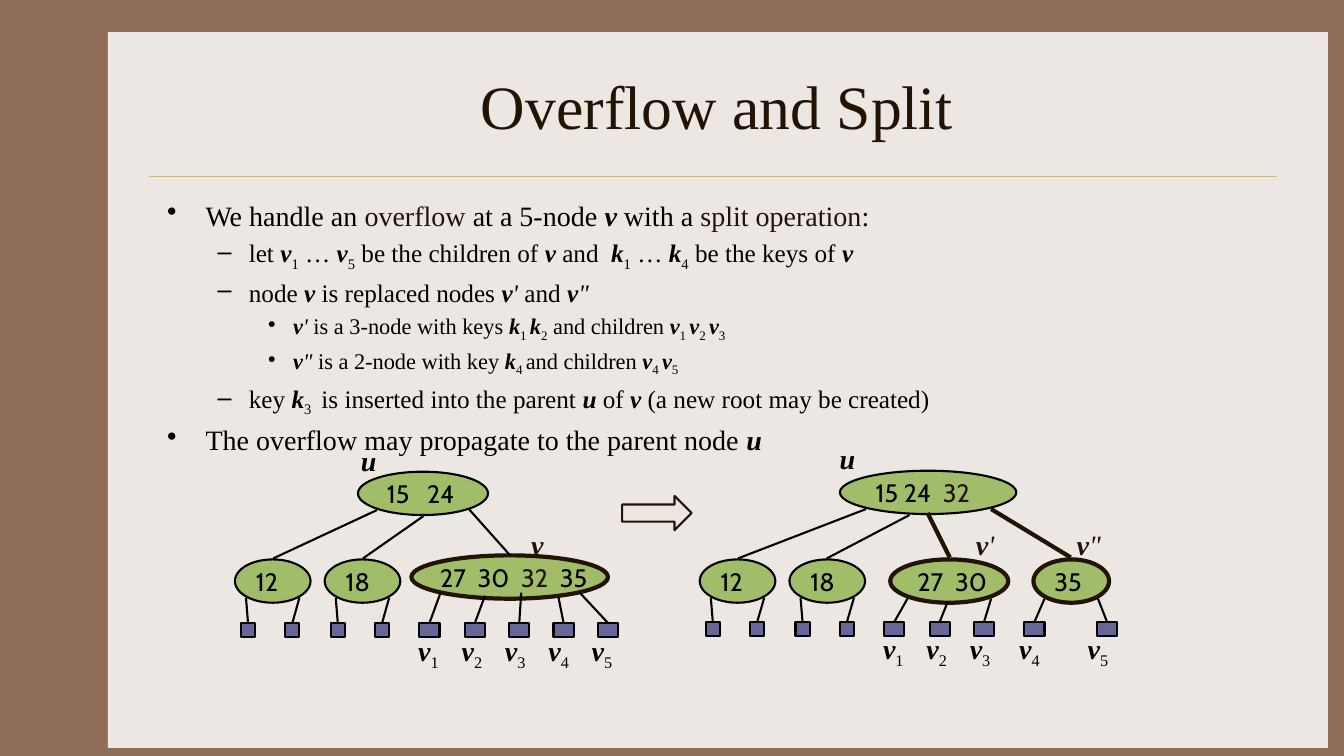
from lxml.etree import SubElement
from pptx import Presentation
from pptx.dml.color import RGBColor
from pptx.enum.shapes import MSO_CONNECTOR, MSO_SHAPE
from pptx.enum.text import MSO_ANCHOR, PP_ALIGN
from pptx.oxml.ns import qn
from pptx.util import Pt

PX = 9144
THEME = {
    "frame": RGBColor.from_string("906D58"),
    "panel": RGBColor.from_string("EDE7E3"),
    "rule": RGBColor.from_string("CBBD83"),
    "accent": RGBColor.from_string("221304"),
    "ink": RGBColor.from_string("000000"),
    "node": RGBColor.from_string("A1BD69"),
    "leaf": RGBColor.from_string("666699"),
    "serif": "Times New Roman",
    "sans": "Cabin",
    "title": 44,
    "levels": (20, 18, 16),
    "key": 18,
    "label": 20,
    "thin": 1.5,
    "thick": 3,
}
RUN_STYLES = {
    "*": {"bold": True, "italic": True},
    "/": {"italic": True},
    "~": {},
    "_": {"baseline": "-25000"},
    "+": {"spc": "430"},
    "#": {"spc": "860"},
}


def write(paragraph, text, size, name, color):
    for piece in text.split("|"):
        code = piece[0] if piece[0] in RUN_STYLES else ""
        run = paragraph.add_run()
        run.text = piece[len(code):]
        run.font.color.rgb = THEME["accent" if code == "~" else color]
        values = {"size": Pt(size), "name": THEME[name], **RUN_STYLES.get(code, {})}
        for key, value in values.items():
            if key in ("baseline", "spc"):
                run._r.get_or_add_rPr().set(key, value)
            else:
                setattr(run.font, key, value)


def draw(kind, box, fill, line, weight):
    shape = slide.shapes.add_shape(kind, *(value * PX for value in box))
    shape.shadow.inherit = False
    if fill:
        shape.fill.solid()
        shape.fill.fore_color.rgb = THEME[fill]
    else:
        shape.fill.background()
    if line:
        shape.line.color.rgb = THEME[line]
        shape.line.width = Pt(weight)
    else:
        shape.line.fill.background()
    return shape


presentation = Presentation()
presentation.slide_width = 1333 * PX
presentation.slide_height = 750 * PX
slide = presentation.slides.add_slide(presentation.slide_layouts[5])
slide.background.fill.solid()
slide.background.fill.fore_color.rgb = THEME["frame"]

panel = draw(MSO_SHAPE.RECTANGLE, (107, 32, 1210, 710), "panel", None, 0)
slide.shapes._spTree.insert(2, panel._element)

title = slide.shapes.title
for key, value in {"left": 156, "top": 42, "width": 1111, "height": 125}.items():
    setattr(title, key, value * PX)
title.text_frame.vertical_anchor = MSO_ANCHOR.MIDDLE
title_paragraph = title.text_frame.paragraphs[0]
title_paragraph.alignment = PP_ALIGN.CENTER
write(title_paragraph, "Overflow and Split", THEME["title"], "serif", "accent")

BULLETS = ((38, 38, "•"), (81, 31, "–"), (125, 25, "•"))
POINTS = [
    (0, "We handle an |~overflow| at a 5-node |*v| with a |~split operation|:"),
    (1, "let |*v|_1| … |*v|_5| be the children of |*v| and|+ |*k|_1| … |*k|_4| be the keys of |*v"),
    (1, "node |*v| is replaced nodes |*v|/' |and |*v|/\""),
    (2, "*v|/'| is a 3-node with keys |*k|_1 |*k|_2| and children |*v|_1 |*v|_2 |*v|_3"),
    (2, "*v|/\"| is a 2-node with key |*k|_4 |and children |*v|_4 |*v|_5"),
    (1, "key |*k|_3 | is inserted into the parent |*u| of |*v |(a new root may be created)"),
    (0, "The overflow may propagate to the parent node |*u"),
]
body = slide.shapes.add_textbox(156 * PX, 192 * PX, 1111 * PX, 450 * PX).text_frame
body.word_wrap = True
for index, (level, text) in enumerate(POINTS):
    paragraph = body.add_paragraph() if index else body.paragraphs[0]
    paragraph.level = level
    margin, hanging, bullet = BULLETS[level]
    properties = paragraph._p.get_or_add_pPr()
    properties.set("marL", str(margin * PX))
    properties.set("indent", str(-hanging * PX))
    SubElement(properties, qn("a:buChar"), char=bullet)
    size = THEME["levels"][level]
    paragraph.space_before = Pt(round(size * 0.2) if index else 0)
    write(paragraph, text, size, "serif", "ink")

NODES = [
    (355, 468, 129, "15|# |24", "ink"),
    (408, 551, 195, "27|+ |30|+ |~32|+ |35", "accent"),
    (833, 467, 175, "15 24|+ |~32", "ink"),
    (883, 555, 117, "27|+ |30", "accent"),
    (1025, 555, 75, "35", "accent"),
]
EDGES = [
    (465, 505, 506, 551, "ink"),
    (360, 554, 420, 512, "ink"),
    (271, 554, 374, 506, "ink"),
    (820, 554, 902, 511, "ink"),
    (732, 554, 859, 505, "ink"),
    (983, 505, 1062, 553, "accent"),
    (920, 509, 942, 553, "accent"),
]
LABELS = [
    (517, 518, 32, "*v", "accent"),
    (348, 435, 36, "*u", "ink"),
    (958, 518, 38, "*v|/'", "accent"),
    (823, 433, 36, "*u", "ink"),
    (1058, 518, 53, "*v|/\"", "accent"),
]
LEAVES = []

for tree_left, leaf_top in ((233, 618), (694, 617)):
    for index, key in enumerate(("12", "18")):
        left = tree_left + 89 * index
        NODES.append((left, 555, 75, key, "ink"))
        for leaf_shift, edge_shift in ((6, 11), (50, 64)):
            LEAVES.append((left + leaf_shift, leaf_top, 14, 14))
            EDGES.append((left + leaf_shift + 7, leaf_top, left + edge_shift, 593, "ink"))

CHILDREN = [
    (618, 624, [(416, 405, 437, 588), (461, 448, 481, 591), (505, 491, 517, 588),
                (549, 534, 554, 593), (593, 577, 575, 588)]),
    (617, 622, [(877, 866, 900, 594), (922, 909, 940, 597), (966, 952, 983, 594),
                (1016, 1001, 1036, 594), (1088, 1069, 1089, 594)]),
]
for leaf_top, label_top, children in CHILDREN:
    for number, (leaf, label, edge_x, edge_y) in enumerate(children, 1):
        LEAVES.append((leaf, leaf_top, 20, 14))
        LABELS.append((label, label_top, 56, f"*v|_{number}", "ink"))
        EDGES.append((leaf + 10, leaf_top, edge_x, edge_y, "ink"))

for left, top, width, keys, line in NODES:
    weight = THEME["thick" if line == "accent" else "thin"]
    node = draw(MSO_SHAPE.OVAL, (left, top, width, 43), "node", line, weight)
    frame = node.text_frame
    frame.word_wrap = False
    frame.vertical_anchor = MSO_ANCHOR.MIDDLE
    if width == 195:
        frame.margin_left = frame.margin_right = 0
    frame.paragraphs[0].alignment = PP_ALIGN.LEFT
    write(frame.paragraphs[0], keys, THEME["key"], "sans", "ink")

for leaf_box in LEAVES:
    draw(MSO_SHAPE.RECTANGLE, leaf_box, "leaf", "ink", THEME["thin"])

for *ends, color in EDGES + [(148, 175, 1267, 175, "rule")]:
    connector = slide.shapes.add_connector(MSO_CONNECTOR.STRAIGHT, *(value * PX for value in ends))
    connector.line.color.rgb = THEME[color]
    connector.line.width = Pt({"ink": THEME["thin"], "accent": THEME["thick"], "rule": 0.25}[color])
    SubElement(connector._element.spPr, qn("a:effectLst"))

for left, top, width, text, color in LABELS:
    label = slide.shapes.add_textbox(left * PX, top * PX, width * PX, 43 * PX)
    label.text_frame.word_wrap = width > 50
    write(label.text_frame.paragraphs[0], text, THEME["label"], "serif", color)

draw(MSO_SHAPE.RIGHT_ARROW, (617, 492, 69, 34), None, "accent", THEME["thin"])

presentation.save("out.pptx")
